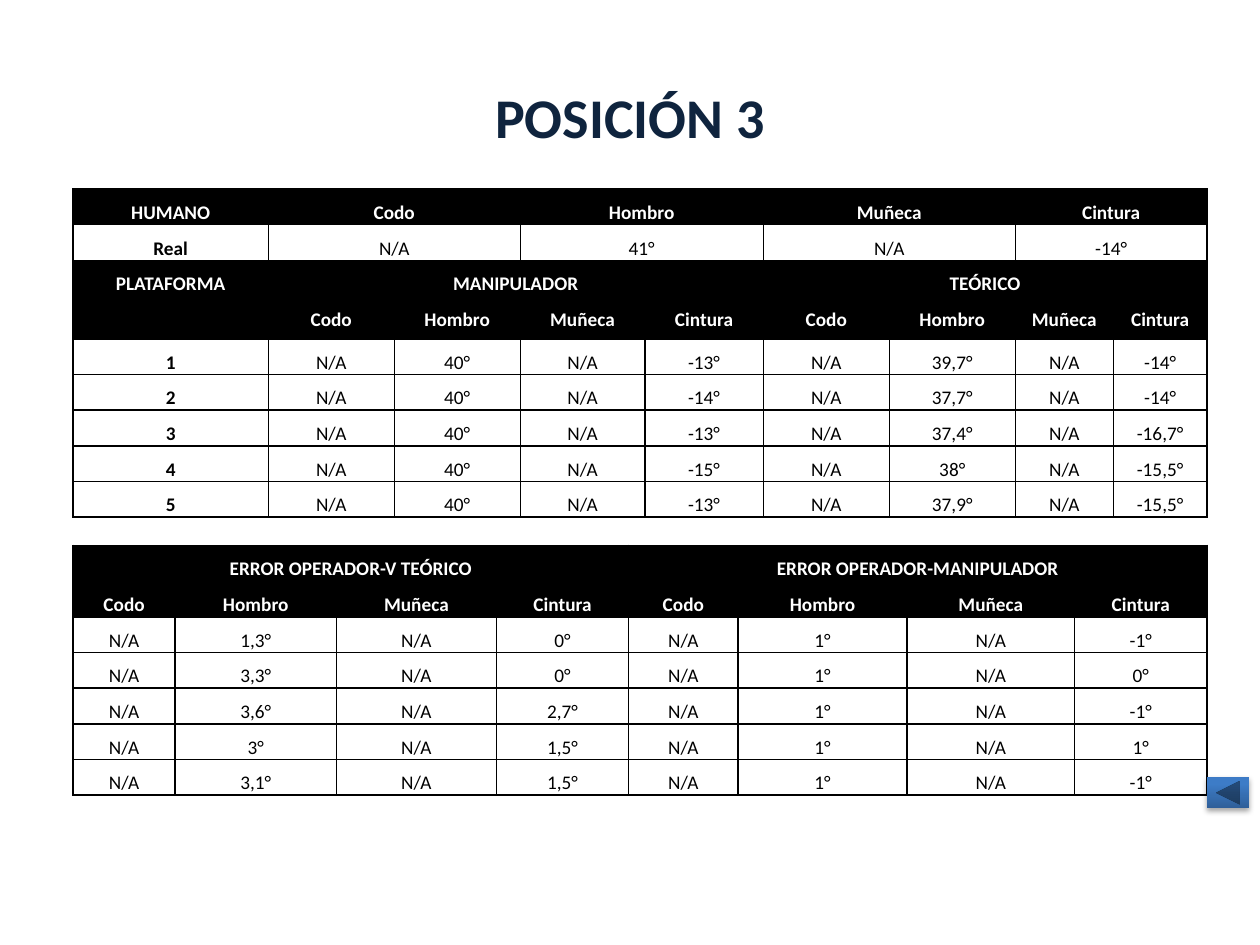
from pptx import Presentation
from pptx.dml.color import RGBColor
from pptx.enum.shapes import MSO_SHAPE as Shape
from pptx.enum.text import MSO_ANCHOR as Anchor, PP_ALIGN as Align
from pptx.oxml import parse_xml
from pptx.oxml.ns import nsdecls
from pptx.util import Pt

BLACK, WHITE, NAVY = "000000", "FFFFFF", "0F243E"
ROW = 20.4


def color(value):
    return RGBColor.from_string(value)


def write(para, text, size, ink, bold):
    para.alignment = Align.CENTER
    span = para.add_run()
    span.text = text
    span.font.color.rgb = color(ink)
    for name, value in {"name": "Calibri", "size": Pt(size), "bold": bold}.items():
        setattr(span.font, name, value)


deck = Presentation()
deck.slide_width, deck.slide_height = Pt(720), Pt(540)
page = deck.slides.add_slide(deck.slide_layouts[6])

# Title
box = page.shapes.add_textbox(Pt(36), Pt(21.6), Pt(648), Pt(90))
box.text_frame.word_wrap = True
box.text_frame.vertical_anchor = Anchor.MIDDLE
write(box.text_frame.paragraphs[0], "POSICIÓN 3", 32, NAVY, True)

# Table contents: None marks a cell covered by the one to its left or above
joints = ["Codo", "Hombro", "Muñeca", "Cintura"]
platforms = [
    ("40°", "-13°", "39,7°", "-14°"),
    ("40°", "-14°", "37,7°", "-14°"),
    ("40°", "-13°", "37,4°", "-16,7°"),
    ("40°", "-15°", "38°", "-15,5°"),
    ("40°", "-13°", "37,9°", "-15,5°"),
]
errors = [
    ("1,3°", "0°", "1°", "-1°"),
    ("3,3°", "0°", "1°", "0°"),
    ("3,6°", "2,7°", "1°", "-1°"),
    ("3°", "1,5°", "1°", "1°"),
    ("3,1°", "1,5°", "1°", "-1°"),
]


def measures(values):
    shoulder, waist, shoulder2, waist2 = values
    return ["N/A", shoulder, "N/A", waist, "N/A", shoulder2, "N/A", waist2]


angle_rows = [
    ["HUMANO", "Codo", None, "Hombro", None, "Muñeca", None, "Cintura", None],
    ["Real", "N/A", None, "41°", None, "N/A", None, "-14°", None],
    ["PLATAFORMA", "MANIPULADOR", None, None, None, "TEÓRICO", None, None, None],
    [None] + joints * 2,
] + [[str(number)] + measures(values) for number, values in enumerate(platforms, 1)]
error_rows = [
    ["ERROR OPERADOR-V TEÓRICO", None, None, None,
     "ERROR OPERADOR-MANIPULADOR", None, None, None],
    joints * 2,
] + [measures(values) for values in errors]

tables = [
    {"top": 108, "rows": angle_rows, "headers": {0, 2, 3}, "labels": True,
     "heights": [ROW] * 3 + [24.5] + [ROW] * 5,
     "widths": [111.5, 72, 72, 71.2, 67.7, 72, 72, 56, 53.6]},
    {"top": 311.7, "rows": error_rows, "headers": {0, 1}, "labels": False,
     "heights": [ROW] * 7,
     "widths": [58.3, 92.2, 91.4, 75.6, 62.6, 96.5, 95.8, 75.6]},
]
insets = {"margin_left": 5, "margin_right": 5, "margin_top": 0, "margin_bottom": 0}

# Tables
for item in tables:
    rows, widths, heights = item["rows"], item["widths"], item["heights"]
    grid = page.shapes.add_table(len(rows), len(widths), Pt(41.8), Pt(item["top"]),
                                 Pt(sum(widths)), Pt(sum(heights))).table
    grid.first_row = grid.horz_banding = False
    for column, width in zip(grid.columns, widths):
        column.width = Pt(width)
    for line, height in zip(grid.rows, heights):
        line.height = Pt(height)

    for r, texts in enumerate(rows):
        header = r in item["headers"]
        for c, text in enumerate(texts):
            cell = grid.cell(r, c)
            for name, value in insets.items():
                setattr(cell, name, Pt(value))
            for side in ("lnL", "lnR", "lnT", "lnB"):
                cell._tc.get_or_add_tcPr().append(parse_xml(
                    f'<a:{side} {nsdecls("a")} w="12700"><a:solidFill>'
                    f'<a:srgbClr val="{BLACK}"/></a:solidFill></a:{side}>'))
            if header:
                cell.fill.solid()
                cell.fill.fore_color.rgb = color(BLACK)
            else:
                cell.fill.background()
            if text is None:
                continue
            para = cell.text_frame.paragraphs[0]
            para.line_spacing = 1.5
            bold = header or (item["labels"] and c == 0)
            write(para, text, 11, WHITE if header else BLACK, bold)

            # Merge with the covered cells that follow
            last = c
            while last + 1 < len(texts) and texts[last + 1] is None:
                last += 1
            bottom = r + 1 if text == "PLATAFORMA" else r
            if (bottom, last) != (r, c):
                cell.merge(grid.cell(bottom, last))

# Back button
button = page.shapes.add_shape(Shape.ACTION_BUTTON_BACK_OR_PREVIOUS,
                               Pt(689.8), Pt(444.2), Pt(23.8), Pt(17.8))
button.line.fill.background()
button.fill.gradient()
button.fill.gradient_angle = 90
for stop, (position, shade) in zip(button.fill.gradient_stops,
                                   [(0, "2F5F99"), (0.8, "3D7CC7")]):
    stop.position = position
    stop.color.rgb = color(shade)
button.shadow.inherit = False
button._element.spPr.find("{*}effectLst").append(parse_xml(
    f'<a:outerShdw {nsdecls("a")} blurRad="{Pt(3.1)}" dist="{Pt(1.8)}" dir="5400000" '
    f'rotWithShape="0"><a:srgbClr val="{BLACK}"><a:alpha val="35000"/></a:srgbClr>'
    '</a:outerShdw>'))

deck.save("out.pptx")
